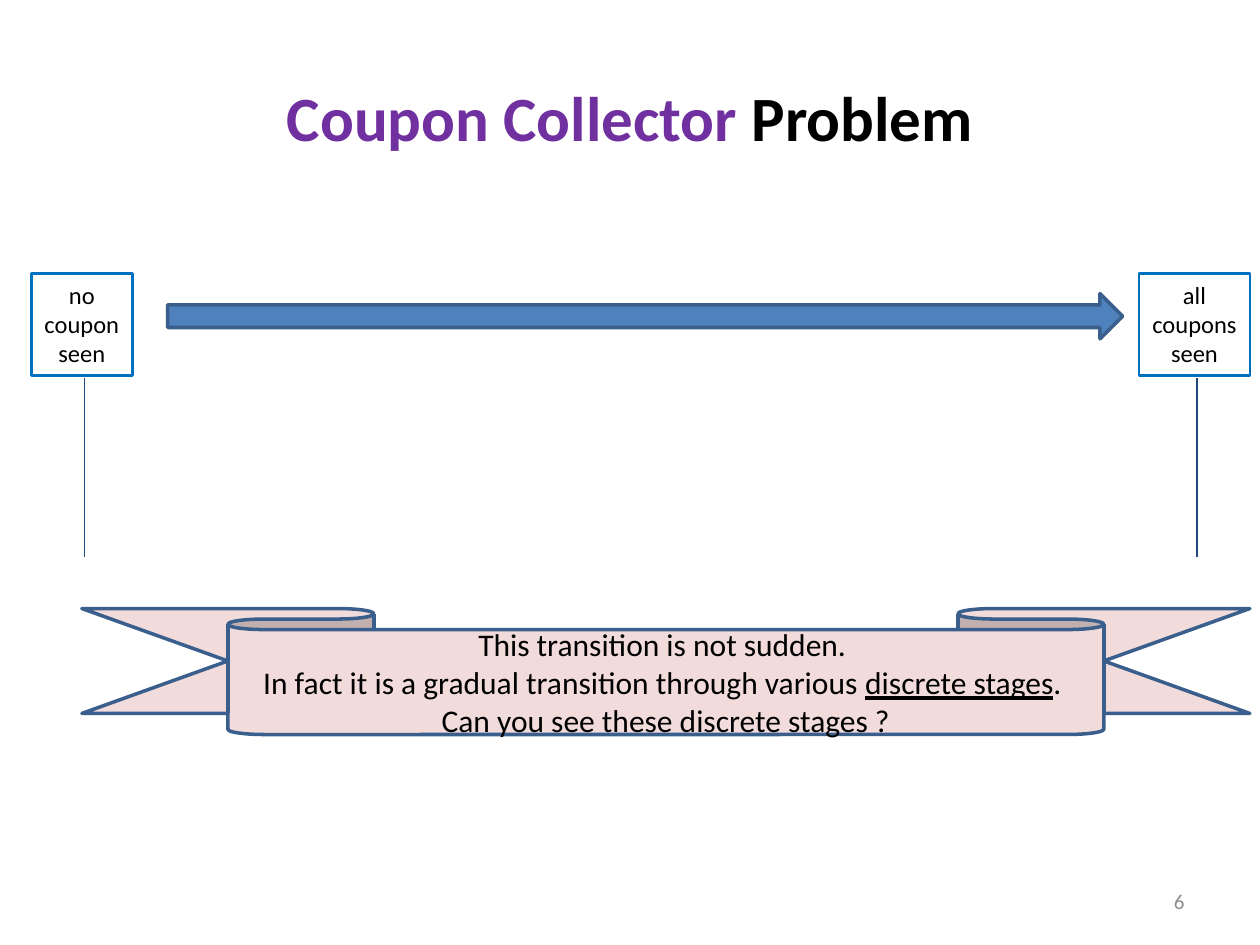
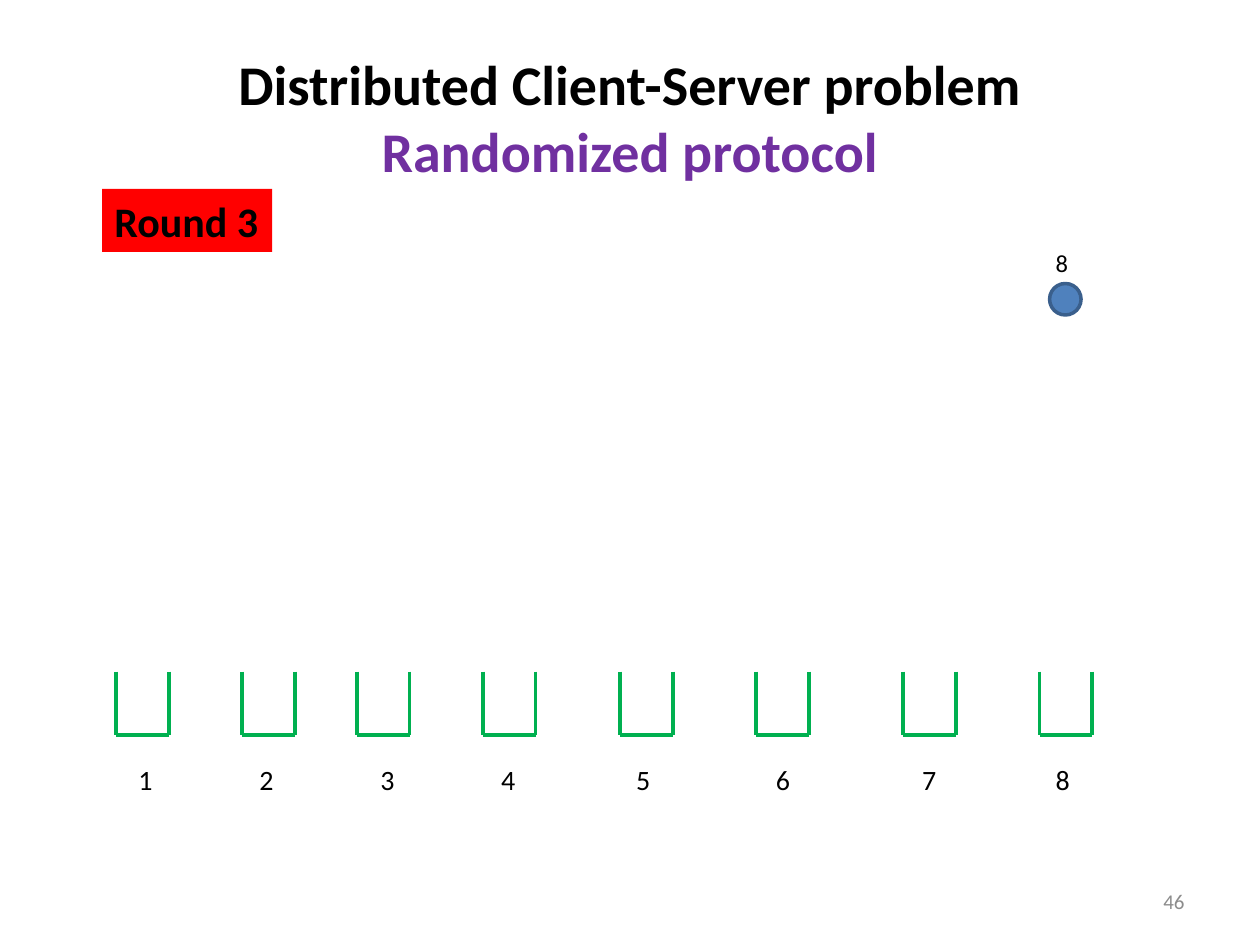
from lxml import etree
from pptx import Presentation
from pptx.dml.color import RGBColor
from pptx.enum.shapes import MSO_CONNECTOR, MSO_SHAPE
from pptx.enum.text import MSO_ANCHOR, PP_ALIGN
from pptx.oxml.ns import qn
from pptx.util import Inches, Pt

BLACK = RGBColor(0x00, 0x00, 0x00)
PURPLE = RGBColor(0x70, 0x30, 0xA0)
GREY = RGBColor(0x8C, 0x8C, 0x8C)
BLUE = RGBColor(0x4F, 0x81, 0xBD)
OUTLINE = RGBColor(0x3A, 0x5F, 0x8C)
NAVY = RGBColor(0x1F, 0x49, 0x7D)
BOX_BLUE = RGBColor(0x00, 0x70, 0xC0)
PINK = RGBColor(0xF2, 0xDC, 0xDB)
GREEN = RGBColor(0x00, 0xB0, 0x50)
RED = RGBColor(0xFF, 0x00, 0x00)


def add_box(slide, place, lines=(), size=14, align=PP_ALIGN.CENTER, color=BLACK, bold=False,
            wrap=True, anchor=MSO_ANCHOR.MIDDLE, kind=None, fill=None, line=None, width=2):
    """Add a text box, or a preset shape if kind is given; each line is a list of runs."""
    place = [Inches(value) for value in place]
    if kind is None:
        box = slide.shapes.add_textbox(*place)
    else:
        box = slide.shapes.add_shape(kind, *place)
        box.shadow.inherit = False
        if fill is None:
            box.fill.background()
        else:
            box.fill.solid()
            box.fill.fore_color.rgb = fill
        if line is None:
            box.line.fill.background()
        else:
            box.line.color.rgb = line
            box.line.width = Pt(width)
    frame = box.text_frame
    frame.word_wrap = wrap
    frame.vertical_anchor = anchor
    for index, runs in enumerate(lines):
        paragraph = frame.add_paragraph() if index else frame.paragraphs[0]
        for text in runs:
            paragraph.add_run().text = text
        paragraph.alignment = align
        font = paragraph.font
        font.name, font.size, font.bold = "Calibri", Pt(size), bold
        font.color.rgb = color
    return box


def add_line(slide, x1, y1, x2, y2, color, width):
    line = slide.shapes.add_connector(MSO_CONNECTOR.STRAIGHT, *map(Inches, (x1, y1, x2, y2)))
    line.line.color.rgb = color
    line.line.width = Pt(width)
    etree.SubElement(line._element.spPr, qn("a:effectLst"))


presentation = Presentation()
presentation.slide_width = Inches(10)
presentation.slide_height = Inches(7.5)

# Titles and page numbers: text, size, index of the purple run, page
pages = []
for title_text, title_size, purple_run, number in [
    (["Coupon Collector ", "Problem"], 36, 0, "6"),
    (["Distributed Client-Server problem", "Randomized protocol"], 32, 1, "46"),
]:
    page = presentation.slides.add_slide(presentation.slide_layouts[6])
    title = add_box(page, (0.5, 0.3, 9, 1.25), [title_text], title_size, bold=True)
    heading = title.text_frame.paragraphs[0]
    if purple_run == 1:
        heading.text = "\v".join(title_text)
    heading.runs[purple_run].font.color.rgb = PURPLE
    add_box(page, (7.17, 6.95, 2.33, 0.4), [[number]], 12, PP_ALIGN.RIGHT, GREY)
    pages.append(page)
coupons, protocol = pages

# Coupon slide: start and end states with their time marks
for left, width, mark_x, words in [
    (0.25, 0.8, 0.67, ("no", "coupon", "seen")),
    (9.04, 0.88, 9.5, ("all", "coupons", "seen")),
]:
    add_line(coupons, mark_x, 3, mark_x, 4.42, NAVY, 0.75)
    add_box(coupons, (left, 2.17, width, 0.81), [[word] for word in words], wrap=False,
            anchor=MSO_ANCHOR.TOP, kind=MSO_SHAPE.RECTANGLE, line=BOX_BLUE, width=1.5)

# Transition arrow
add_box(coupons, (1.33, 2.33, 7.58, 0.36), kind=MSO_SHAPE.RIGHT_ARROW, fill=BLUE, line=OUTLINE)

# Question ribbon
ribbon = add_box(coupons, (0.65, 4.83, 9.27, 1), [
    ["This transition is not sudden. "],
    ["In fact it is a gradual transition through various ", "discrete stages", ". "],
    ["Can you see these discrete stages ?"],
], 18, kind=MSO_SHAPE.DOWN_RIBBON, fill=PINK, line=OUTLINE)
ribbon.adjustments[0] = 0.167
ribbon.adjustments[1] = 0.75
ribbon.text_frame.paragraphs[1].runs[1].font.underline = True

# Protocol slide: the remaining client
add_box(protocol, (8.33, 2.25, 0.25, 0.25), kind=MSO_SHAPE.OVAL, fill=BLUE, line=OUTLINE)
add_box(protocol, (8.28, 1.92, 0.3, 0.34), [["8"]], align=PP_ALIGN.LEFT, wrap=False,
        anchor=MSO_ANCHOR.TOP)

# Servers drawn as open bins
BIN_TOP, BIN_BOTTOM, BIN_WIDTH = 5.33, 5.83, 0.42
for left in (0.92, 1.92, 2.83, 3.83, 4.92, 6, 7.17, 8.25):
    right = left + BIN_WIDTH
    for side in (left, right):
        add_line(protocol, side, BIN_TOP, side, BIN_BOTTOM, GREEN, 2.25)
    add_line(protocol, left, BIN_BOTTOM, right, BIN_BOTTOM, GREEN, 2.25)

# Server numbers on tab stops
server_numbers = add_box(protocol, (1, 6, 7.67, 0.37), [["\t".join("12345678")]], 16,
                         PP_ALIGN.LEFT, anchor=MSO_ANCHOR.TOP)
properties = server_numbers.text_frame.paragraphs[0]._p.get_or_add_pPr()
tabs = etree.Element(qn("a:tabLst"))
for stop in (0.96, 1.92, 2.88, 3.95, 5.06, 6.22, 7.28):
    etree.SubElement(tabs, qn("a:tab"), pos=str(Inches(stop)), algn="l")
properties.insert(0, tabs)

# Round label
add_box(protocol, (0.81, 1.5, 1.35, 0.5), [["Round 3"]], 24, PP_ALIGN.LEFT, bold=True,
        wrap=False, anchor=MSO_ANCHOR.TOP, kind=MSO_SHAPE.RECTANGLE, fill=RED)

presentation.save("out.pptx")
